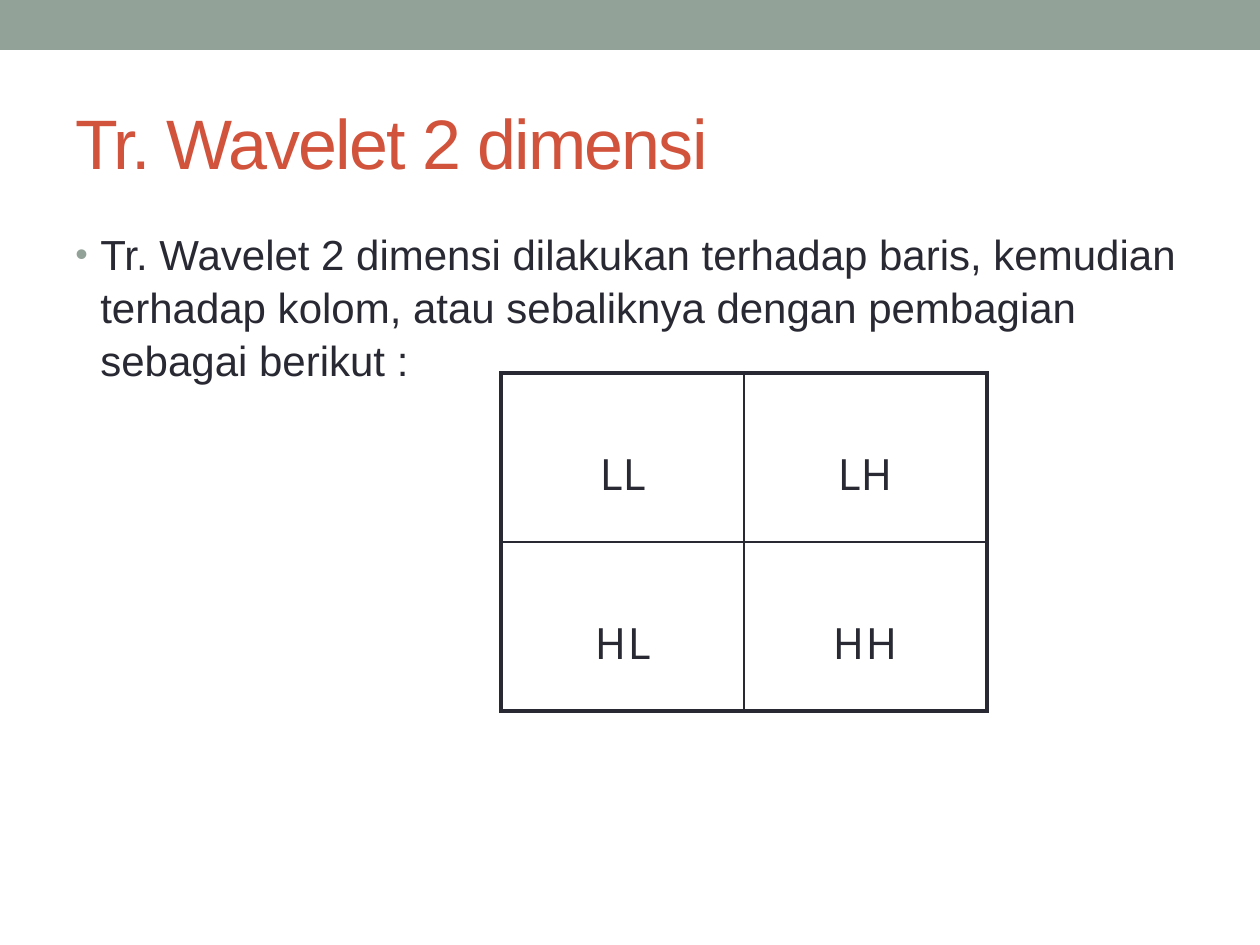
from lxml.etree import SubElement
from pptx import Presentation
from pptx.dml.color import RGBColor
from pptx.enum.shapes import MSO_SHAPE as SHAPE
from pptx.enum.text import MSO_ANCHOR as ANCHOR, PP_ALIGN as ALIGN
from pptx.oxml.ns import qn
from pptx.util import Emu, Pt

SCALE = 914400 // 126
INK, SAGE, RED = "292934", "93A299", "D2533C"
BANDS = [["LL", "LH"], ["HL", "HH"]]


def px(*values):
    return [Emu(v * SCALE) for v in values]


def rgb(value):
    return RGBColor.from_string(value)


def add_run(p, text, size, color, font="Arial"):
    r = p.add_run()
    r.text = text
    r.font.size, r.font.name = Pt(size), font
    r.font.color.rgb = rgb(color)
    return r


def add_bar(s, box, color):
    sp = s.shapes.add_shape(SHAPE.RECTANGLE, *px(*box))
    sp.shadow.inherit = False
    sp.fill.solid()
    sp.fill.fore_color.rgb = rgb(color)
    sp.line.fill.background()


def add_text(s, box, anchor=ANCHOR.TOP):
    tf = s.shapes.add_textbox(*px(*box)).text_frame
    tf.word_wrap = True
    tf.vertical_anchor = anchor
    return tf.paragraphs[0]


def add_title(s, box, text):
    p = add_text(s, box, ANCHOR.MIDDLE)
    r = add_run(p, text, 40, RED)
    r.font._element.set("spc", "-100")


def add_bullet(s, box, text):
    p = add_text(s, box)
    p.line_spacing, p.space_before = 1.05, Pt(1.5)
    pPr = p._p.get_or_add_pPr()
    indent = px(25)[0]
    pPr.set("marL", str(indent))
    pPr.set("indent", str(-indent))
    color = SubElement(pPr, qn("a:buClr"))
    SubElement(color, qn("a:srgbClr"), val=SAGE)
    SubElement(pPr, qn("a:buSzPct"), val="85000")
    SubElement(pPr, qn("a:buFont"), typeface="Arial")
    SubElement(pPr, qn("a:buChar"), char="•")
    add_run(p, text, 24, INK)


def set_borders(cell, widths):
    tcPr = cell._tc.get_or_add_tcPr()
    for side, width in widths.items():
        ln = SubElement(tcPr, qn(f"a:ln{side}"), w=str(Pt(width)))
        fill = SubElement(ln, qn("a:solidFill"))
        SubElement(fill, qn("a:srgbClr"), val=INK)


def add_band_table(s, box, rows):
    n_rows, n_cols = len(rows), len(rows[0])
    table = s.shapes.add_table(n_rows, n_cols, *px(*box)).table
    table.first_row = table.horz_banding = False
    for i, row in enumerate(rows):
        for j, text in enumerate(row):
            cell = table.cell(i, j)
            edges = {"L": j == 0, "R": j == n_cols - 1,
                     "T": i == 0, "B": i == n_rows - 1}
            set_borders(cell, {k: 2.25 if outer else 1 for k, outer in edges.items()})
            cell.fill.background()
            cell.margin_top = px(73)[0]
            p = cell.text_frame.paragraphs[0]
            p.alignment = ALIGN.CENTER
            add_run(p, text, 28, INK, "Karla")


def main():
    prs = Presentation()
    prs.slide_width, prs.slide_height = px(1260, 945)
    s = prs.slides.add_slide(prs.slide_layouts[6])
    add_bar(s, (0, 0, 1260, 50), SAGE)
    add_title(s, (63, 73, 1134, 136), "Tr. Wavelet 2 dimensi")
    add_bullet(s, (63, 220, 1134, 672),
               "Tr. Wavelet 2 dimensi dilakukan terhadap baris, kemudian "
               "terhadap kolom, atau sebaliknya dengan pembagian sebagai berikut :")
    add_band_table(s, (501, 373, 486, 338), BANDS)
    prs.save("out.pptx")


if __name__ == "__main__":
    main()
